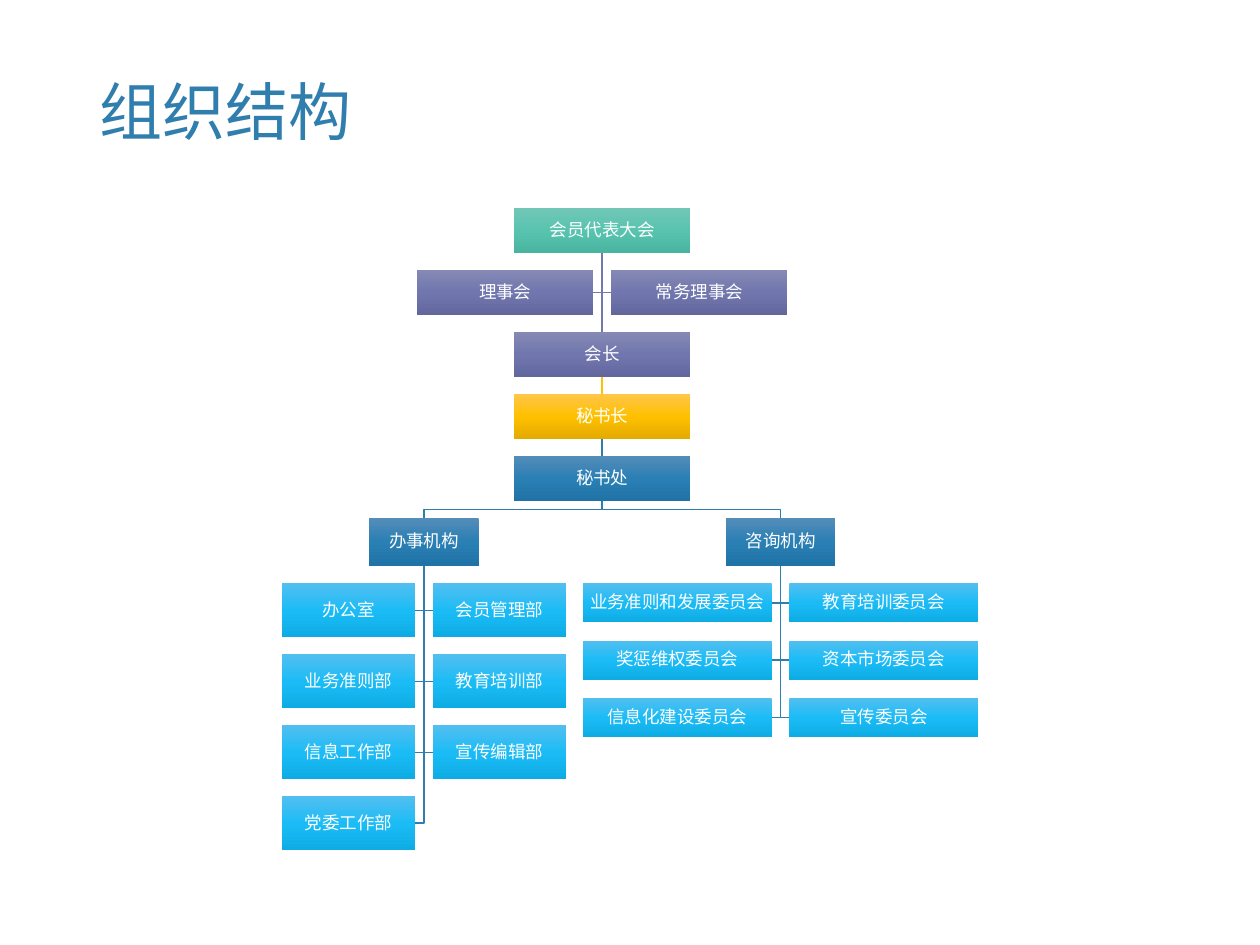
from copy import deepcopy

from pptx import Presentation
from pptx.dml.color import RGBColor
from pptx.enum.shapes import MSO_CONNECTOR, MSO_SHAPE
from pptx.enum.text import MSO_ANCHOR, PP_ALIGN
from pptx.oxml.ns import qn
from pptx.util import Inches, Pt

STRAIGHT = MSO_CONNECTOR.STRAIGHT
RECTANGLE = MSO_SHAPE.RECTANGLE
MIDDLE = MSO_ANCHOR.MIDDLE
LEFT, CENTER = PP_ALIGN.LEFT, PP_ALIGN.CENTER
TOP_SITE, BOTTOM_SITE = 0, 2

COLORS = {
    "title": "307EAE",
    "text": "FFFFFF",
    "council_line": "7479AB",
    "secretary_line": "FFC000",
    "office_line": "307EAE",
}
GRADIENTS = {
    "assembly": ("72C6B6", "58C4B0", "49B4A0"),
    "council": ("8589B4", "7177AE", "62679E"),
    "secretary": ("FFC64B", "FFC000", "E3AB00"),
    "office": ("558DB9", "2A7FB4", "1F73A6"),
    "unit": ("52BFF0", "1BBCF6", "0EACE5"),
}


def write(shape, text, *, size, color, align, margin):
    frame = shape.text_frame
    frame.word_wrap = True
    frame.vertical_anchor = MIDDLE
    frame.margin_left = frame.margin_right = Inches(margin)
    frame.margin_top = frame.margin_bottom = Inches(0.01)
    paragraph = frame.paragraphs[0]
    paragraph.alignment = align
    paragraph.line_spacing = 0.9
    run = paragraph.add_run()
    run.text = text
    run.font.size = Pt(size)
    run.font.name = "Arial"
    run.font.color.rgb = RGBColor.from_string(COLORS[color])


def draw_bent_line(points, color):
    start, *others = [(Inches(x), Inches(y)) for x, y in points]
    builder = slide.shapes.build_freeform(*start)
    builder.add_line_segments(others, close=False)
    line = builder.convert_to_shape()
    line.shadow.inherit = False
    line.fill.background()
    line.line.color.rgb = RGBColor.from_string(COLORS[color])
    line.line.width = Pt(1)


presentation = Presentation()
presentation.slide_width = Inches(10)
presentation.slide_height = Inches(7.5)
slide = presentation.slides.add_slide(presentation.slide_layouts[5])

title = slide.shapes.title
title.left, title.top = Inches(0.69), Inches(0.4)
title.width, title.height = Inches(8.62), Inches(1.03)
write(title, "组织结构", size=36, color="title", align=LEFT, margin=0.1)

axis = 4.78
half_gap = 0.07
level_width, level_height = 1.4, 0.36
level_tops = [1.65 + (4.11 - 1.65) / 5 * level for level in range(6)]

boxes = []
chain = [
    ("会员代表大会", "assembly", 0),
    ("会长", "council", 2),
    ("秘书长", "secretary", 3),
    ("秘书处", "office", 4),
]
for text, style, level in chain:
    boxes.append((text, style, axis - level_width / 2, level_tops[level], level_width, level_height))

assembly_bottom = level_tops[0] + level_height
council_y = level_tops[1] + level_height / 2
for text, side, left in (
    ("理事会", -1, axis - half_gap - level_width),
    ("常务理事会", 1, axis + half_gap),
):
    boxes.append((text, "council", left, level_tops[1], level_width, level_height))
    draw_bent_line([(axis, assembly_bottom), (axis, council_y), (axis + side * half_gap, council_y)],
                   "council_line")

office_width, office_height = 0.87, 0.38
unit_top = 4.63
secretariat_bottom = level_tops[4] + level_height
fork_y = (secretariat_bottom + level_tops[5]) / 2
office_bottom = level_tops[5] + office_height
branches = [
    {
        "name": "办事机构", "left": 2.93, "width": 1.06, "height": 0.43, "pitch": (6.32 - unit_top) / 3,
        "units": ["办公室", "会员管理部", "业务准则部", "教育培训部", "信息工作部", "宣传编辑部", "党委工作部"],
    },
    {
        "name": "咨询机构", "left": 5.76, "width": 1.5, "height": 0.31, "pitch": (5.54 - unit_top) / 2,
        "units": ["业务准则和发展委员会", "教育培训委员会", "奖惩维权委员会",
                  "资本市场委员会", "信息化建设委员会", "宣传委员会"],
    },
]
for branch in branches:
    boxes.append((branch["name"], "office", branch["left"], level_tops[5], office_width, office_height))
    x = branch["left"] + office_width / 2
    draw_bent_line([(axis, secretariat_bottom), (axis, fork_y), (x, fork_y), (x, level_tops[5])],
                   "office_line")
    columns = ((-1, x - half_gap - branch["width"]), (1, x + half_gap))
    for index, text in enumerate(branch["units"]):
        row, column = divmod(index, 2)
        side, left = columns[column]
        top = unit_top + row * branch["pitch"]
        y = top + branch["height"] / 2
        boxes.append((text, "unit", left, top, branch["width"], branch["height"]))
        draw_bent_line([(x, office_bottom), (x, y), (x + side * half_gap, y)], "office_line")

shapes = {}
for text, style, *position in boxes:
    shape = slide.shapes.add_shape(RECTANGLE, *[Inches(value) for value in position])
    shape.shadow.inherit = False
    shape.line.fill.background()
    shape.fill.gradient()
    shape.fill.gradient_angle = 270
    stop_list = shape._element.spPr.find(".//" + qn("a:gsLst"))
    stop_list.insert(1, deepcopy(stop_list[0]))
    for stop, color, place in zip(shape.fill.gradient_stops, GRADIENTS[style], (0, 0.5, 1)):
        stop.color.rgb = RGBColor.from_string(color)
        stop.position = place
    write(shape, text, size=10, color="text", align=CENTER, margin=0.01)
    shapes[text] = shape

chain_lines = ["council_line", "secretary_line", "office_line"]
for (upper, *_), (lower, *_), color in zip(chain, chain[1:], chain_lines):
    connector = slide.shapes.add_connector(STRAIGHT, 0, 0, 0, 0)
    connector.begin_connect(shapes[upper], BOTTOM_SITE)
    connector.end_connect(shapes[lower], TOP_SITE)
    connector.line.color.rgb = RGBColor.from_string(COLORS[color])
    connector.line.width = Pt(1)
    properties = connector._element.spPr
    properties.append(properties.makeelement(qn("a:effectLst"), {}))

presentation.save("out.pptx")
